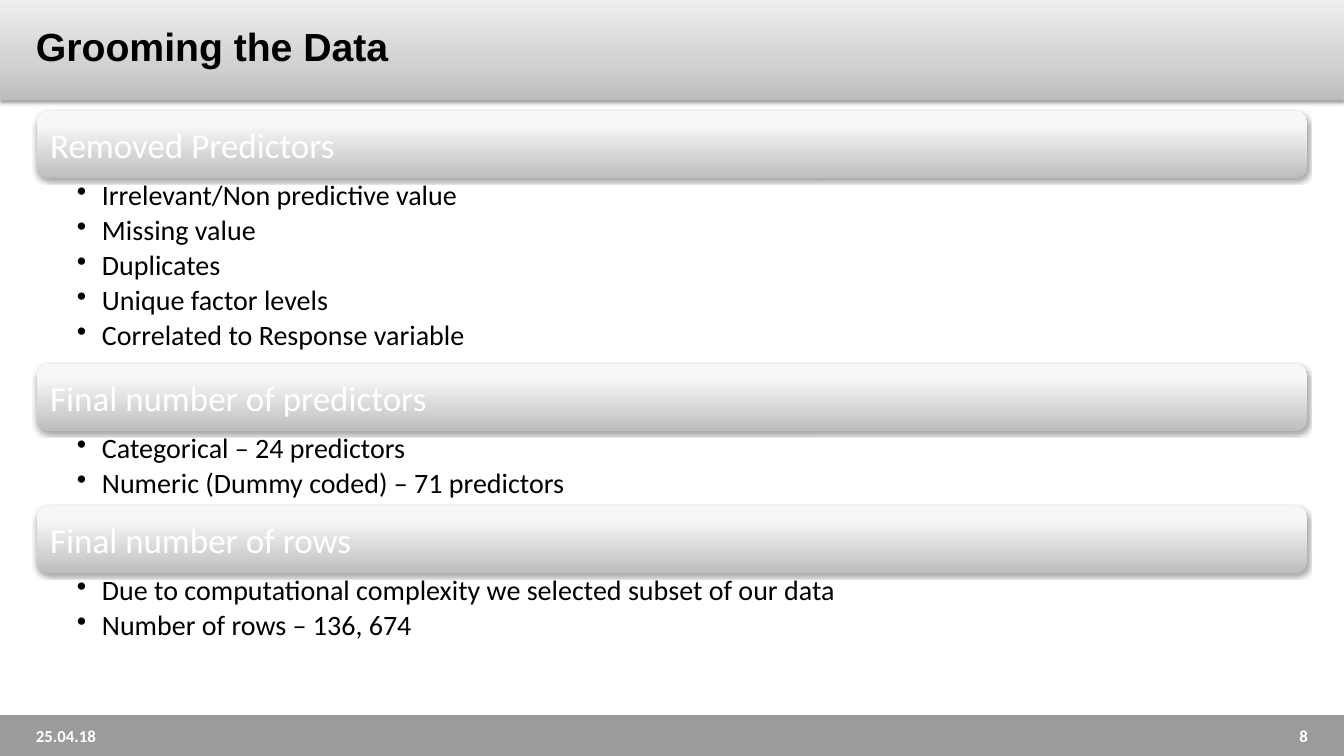
from lxml import etree
from pptx import Presentation
from pptx.dml.color import RGBColor
from pptx.enum.shapes import MSO_SHAPE as SHAPE
from pptx.enum.text import MSO_ANCHOR as ANCHOR, PP_ALIGN as ALIGN
from pptx.oxml.ns import qn
from pptx.util import Pt

TITLE = "Grooming the Data"
DATE, PAGE = "25.04.18", "8"
SECTIONS = [
    ("Removed Predictors", [
        "Irrelevant/Non predictive value",
        "Missing value",
        "Duplicates",
        "Unique factor levels",
        "Correlated to Response variable",
    ]),
    ("Final number of predictors", [
        "Categorical – 24 predictors",
        "Numeric (Dummy coded) – 71 predictors",
    ]),
    ("Final number of rows", [
        "Due to computational complexity we selected subset of our data",
        "Number of rows – 136, 674",
    ]),
]

# Gradient stops run from bottom to top: (percent, colour)
HEADER_STOPS = [(0, "BDBDBD"), (35, "D1D1D1"), (100, "EEEEEE")]
BAR_STOPS = [(0, "BEBEBE"), (80, "F7F7F7"), (100, "F8F8F8")]
BLACK, WHITE, FOOTER_GREY = "000000", "FFFFFF", "9B9B9B"

# Lengths in px
WIDTH, HEIGHT = 1344, 756
HEADER_H, FOOTER_H = 100, 41
LEFT, BAR_W, BAR_H = 37, 1270, 67
FIRST_TOP, ROW_H, LIST_PAD = 111, 37, 1
BULLET_INDENT = 25


def px(n):
    return round(n * 914400 / 100.8)


def rgb(color):
    return RGBColor.from_string(color)


def add_block(slide, kind, left, top, width, height):
    s = slide.shapes.add_shape(kind, px(left), px(top), px(width), px(height))
    s.shadow.inherit = False
    s.line.fill.background()
    return s


def add_gradient(s, stops):
    grad = etree.Element(qn("a:gradFill"), rotWithShape="1")
    stop_list = etree.SubElement(grad, qn("a:gsLst"))
    for percent, color in stops:
        stop = etree.SubElement(stop_list, qn("a:gs"), pos=str(percent * 1000))
        etree.SubElement(stop, qn("a:srgbClr"), val=color)
    etree.SubElement(grad, qn("a:lin"), ang="16200000", scaled="0")
    s._element.spPr.find(qn("a:prstGeom")).addnext(grad)


def add_shadow(s, opacity, distance):
    effects = s._element.spPr.find(qn("a:effectLst"))
    shadow = etree.SubElement(effects, qn("a:outerShdw"), blurRad=str(Pt(3.1)),
                              dist=str(Pt(distance)), dir="5400000", rotWithShape="0")
    color = etree.SubElement(shadow, qn("a:srgbClr"), val=BLACK)
    etree.SubElement(color, qn("a:alpha"), val=str(opacity * 1000))


def add_box(slide, left, top, width, height):
    return slide.shapes.add_textbox(px(left), px(top), px(width), px(height))


def write(s, lines, size, color, font="Calibri", bold=False, align=ALIGN.LEFT,
          anchor=ANCHOR.MIDDLE, insets=(10, 5, 10, 5)):
    """Fill a shape with one paragraph per line; insets are left, top, right, bottom."""
    tf = s.text_frame
    tf.word_wrap = True
    tf.vertical_anchor = anchor
    tf.margin_left, tf.margin_top, tf.margin_right, tf.margin_bottom = map(px, insets)
    tf.text = "\n".join(lines)
    for p in tf.paragraphs:
        p.alignment = align
        p.font.name, p.font.size, p.font.bold = font, Pt(size), bold
        p.font.color.rgb = rgb(color)
    return tf


def add_bullets(tf):
    for p in tf.paragraphs:
        p.line_spacing = 0.9
        p.space_after = Pt(3.5)
        pPr = p._p.get_or_add_pPr()
        pPr.set("marL", str(px(BULLET_INDENT)))
        pPr.set("indent", str(-px(BULLET_INDENT)))
        bullet = etree.Element(qn("a:buChar"), char="•")
        pPr.find(qn("a:spcAft")).addnext(bullet)


def add_section(slide, top, heading, items):
    """Draw a heading bar with its list and return the top of the next section."""
    bar = add_block(slide, SHAPE.ROUNDED_RECTANGLE, LEFT, top, BAR_W, BAR_H)
    add_gradient(bar, BAR_STOPS)
    add_shadow(bar, 35, 1.8)
    write(bar, [heading], 25, WHITE)

    list_top, list_h = top + BAR_H, ROW_H * len(items) + LIST_PAD
    box = add_box(slide, LEFT, list_top, BAR_W, list_h)
    add_bullets(write(box, items, 20, BLACK, anchor=ANCHOR.TOP, insets=(40, 3, 19, 3)))
    return list_top + list_h


def main():
    prs = Presentation()
    prs.slide_width, prs.slide_height = px(WIDTH), px(HEIGHT)
    slide = prs.slides.add_slide(prs.slide_layouts[6])

    header = add_block(slide, SHAPE.RECTANGLE, 0, 0, WIDTH, HEADER_H)
    add_gradient(header, HEADER_STOPS)
    add_shadow(header, 38, 1.6)
    footer = add_block(slide, SHAPE.RECTANGLE, 0, HEIGHT - FOOTER_H, WIDTH, FOOTER_H)
    footer.fill.solid()
    footer.fill.fore_color.rgb = rgb(FOOTER_GREY)

    write(add_box(slide, 26, 6, 884, 80), [TITLE], 28, BLACK, font="Arial", bold=True)

    top = FIRST_TOP
    for heading, items in SECTIONS:
        top = add_section(slide, top, heading, items)

    for left, text, align in [(26, DATE, ALIGN.LEFT), (1004, PAGE, ALIGN.RIGHT)]:
        write(add_box(slide, left, 724, 314, 24), [text], 12, WHITE, bold=True, align=align)

    prs.save("out.pptx")


if __name__ == "__main__":
    main()
